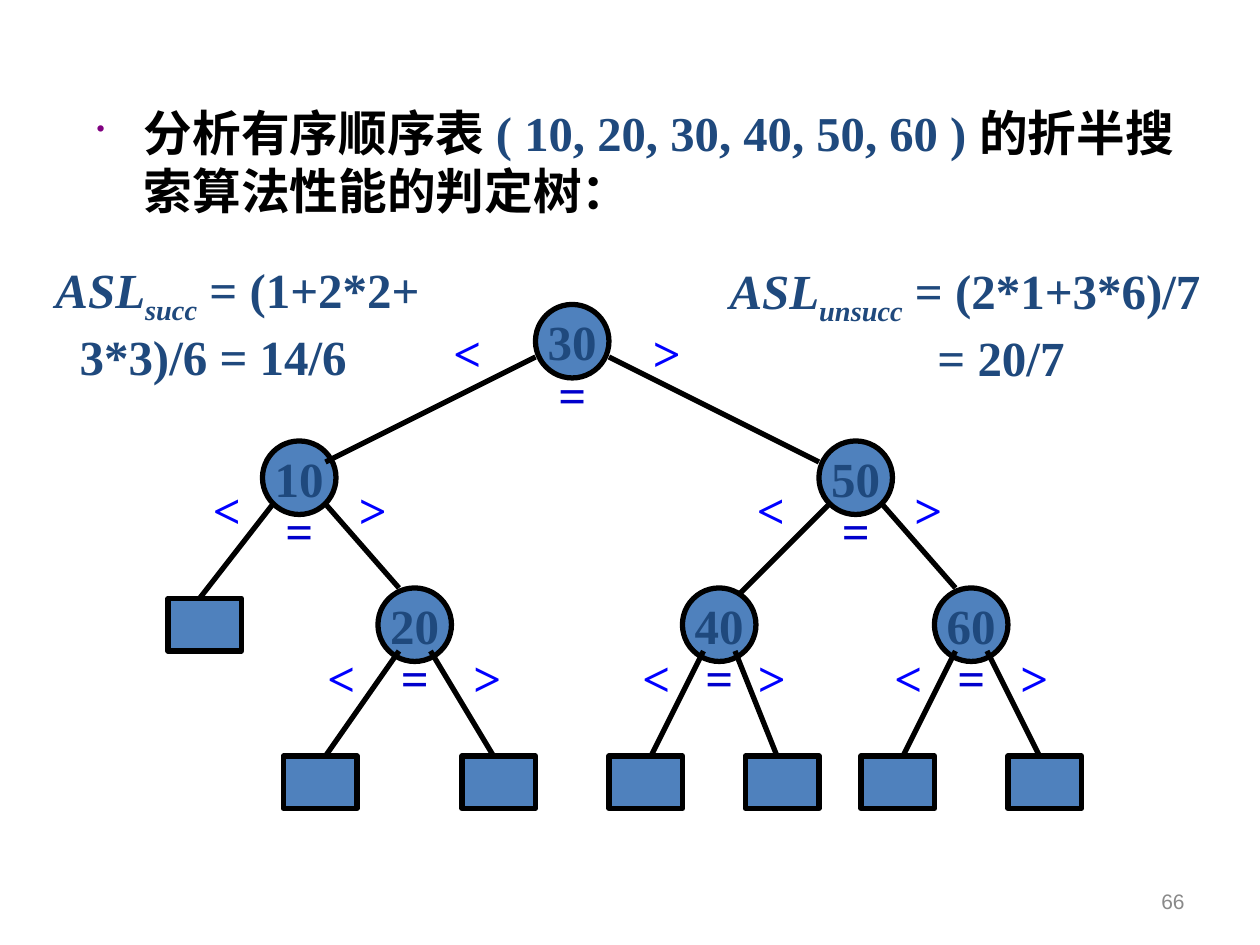
from pptx import Presentation
from pptx.dml.color import RGBColor
from pptx.enum.shapes import MSO_CONNECTOR as Wire, MSO_SHAPE as Kind
from pptx.enum.text import MSO_ANCHOR as Anchor, MSO_AUTO_SIZE as Fit, PP_ALIGN as Align
from pptx.oxml.ns import qn
from pptx.util import Pt
from lxml.etree import SubElement

PX = 7620
SERIF = "Times New Roman"
HUES = {
    "ink": "000000",
    "navy": "1F497D",
    "fill": "4F81BD",
    "equal": "0000CC",
    "sign": "0000FF",
    "bullet": "800080",
    "page": "898989",
}
NODE = 70
LEVELS = [(0, 50, 11), (10, 60, 31), (20, 60, 51)]
NODES = [
    ("10", 250, 420, 1, (190, 570), (380, 560), -59, 80),
    ("50", 780, 420, 1, (700, 570), (910, 560), -71, 79),
    ("30", 510, 290, 0, (310, 440), (780, 440), -90, 100),
    ("20", 360, 560, 2, (310, 720), (470, 720), -60, 79),
    ("40", 650, 560, 2, (620, 720), (740, 720), -50, 60),
    ("60", 890, 560, 2, (860, 720), (990, 720), -50, 70),
]
LEAVES = [(160, 570)] + [(x, 720) for x in (270, 440, 580, 710, 820, 960)]


def px(*vals):
    return [v * PX for v in vals]


def hue(name):
    return RGBColor.from_string(HUES[name])


def style(run, tone, size=28, face=SERIF, bold=True, slant=False):
    font = run.font
    font.name, font.size, font.bold, font.italic = face, Pt(size), bold, slant
    font.color.rgb = hue(tone)


def label(slide, text, box, tone, align=Align.LEFT, wrap=False, **look):
    frame = slide.shapes.add_textbox(*px(*box)).text_frame
    frame.word_wrap = wrap
    frame.text = text
    para = frame.paragraphs[0]
    para.alignment = align
    style(para.runs[0], tone, **look)
    return frame


def block(slide, kind, x, y, wide, high):
    shape = slide.shapes.add_shape(kind, *px(x, y, wide, high))
    shape.shadow.inherit = False
    shape.fill.solid()
    shape.fill.fore_color.rgb = hue("fill")
    shape.line.color.rgb = hue("ink")
    shape.line.width = Pt(3)
    return shape


def edge(slide, start, end):
    line = slide.shapes.add_connector(Wire.STRAIGHT, *px(*start, *end))
    line.line.color.rgb = hue("ink")
    line.line.width = Pt(3)
    SubElement(line._element.spPr, qn("a:effectLst"))


def node(slide, key, x, y, level, left, right, less, more):
    inset, drop, fall = LEVELS[level]
    frame = block(slide, Kind.OVAL, x, y, NODE, NODE).text_frame
    frame.word_wrap = False
    frame.vertical_anchor = Anchor.MIDDLE
    frame.text = key
    frame.paragraphs[0].alignment = Align.CENTER
    style(frame.paragraphs[0].runs[0], "navy")
    edge(slide, (x + inset, y + drop), left)
    edge(slide, (x + NODE - inset, y + drop), right)
    for text, dx, dy, tone in (
        ("<", less, fall, "sign"),
        ("=", 10, 51, "equal"),
        (">", more, fall, "sign"),
    ):
        label(slide, text, (x + dx, y + dy, 50, 68), tone)


def heading(slide):
    title = slide.shapes.title
    title.left, title.top, title.width, title.height = px(80, 92, 1061, 154)
    frame = title.text_frame
    frame.auto_size = Fit.NONE
    frame.word_wrap = True
    frame.vertical_anchor = Anchor.TOP
    para = frame.paragraphs[0]
    para.alignment = Align.LEFT
    para.line_spacing = 1.0
    props = para._p.get_or_add_pPr()
    props.set("marL", str(45 * PX))
    props.set("indent", str(-45 * PX))
    tint = SubElement(props, qn("a:buClr"))
    SubElement(tint, qn("a:srgbClr"), val=HUES["bullet"])
    SubElement(props, qn("a:buSzPct"), val="50000")
    SubElement(props, qn("a:buChar"), char="•")
    for text, tone in (
        ("分析有序顺序表 ", "ink"),
        ("( 10, 20, 30, 40, 50, 60 ) ", "navy"),
        ("的折半搜索算法性能的判定树：", "ink"),
    ):
        run = para.add_run()
        run.text = text
        style(run, tone, size=27.8)


def formula(slide, box, sub, first, second, indent):
    frame = label(slide, "ASL", box, "navy", wrap=True, slant=True)
    para = frame.paragraphs[0]
    low = para.add_run()
    low.text = sub
    style(low, "navy", slant=True)
    low._r.get_or_add_rPr().set("baseline", "-25000")
    rest = para.add_run()
    rest.text = first
    style(rest, "navy")
    para = frame.add_paragraph()
    para.text = second
    para._p.get_or_add_pPr().set("marL", str(indent * PX))
    style(para.runs[0], "navy")


def main():
    deck = Presentation()
    deck.slide_width, deck.slide_height = px(1200, 900)
    slide = deck.slides.add_slide(deck.slide_layouts[5])
    heading(slide)
    for x, y in LEAVES:
        block(slide, Kind.RECTANGLE, x, y, 70, 50)
    for item in NODES:
        node(slide, *item)
    formula(slide, (683, 242, 480, 132), "unsucc", " = (2*1+3*6)/7", "= 20/7", 198)
    formula(slide, (41, 241, 380, 132), "succ", " = (1+2*2+", "3*3)/6 = 14/6", 23)
    page = label(slide, "66", (860, 834, 280, 48), "page", Align.RIGHT, True,
                 size=12, face="Arial", bold=False)
    page.vertical_anchor = Anchor.MIDDLE
    deck.save("out.pptx")


if __name__ == "__main__":
    main()
